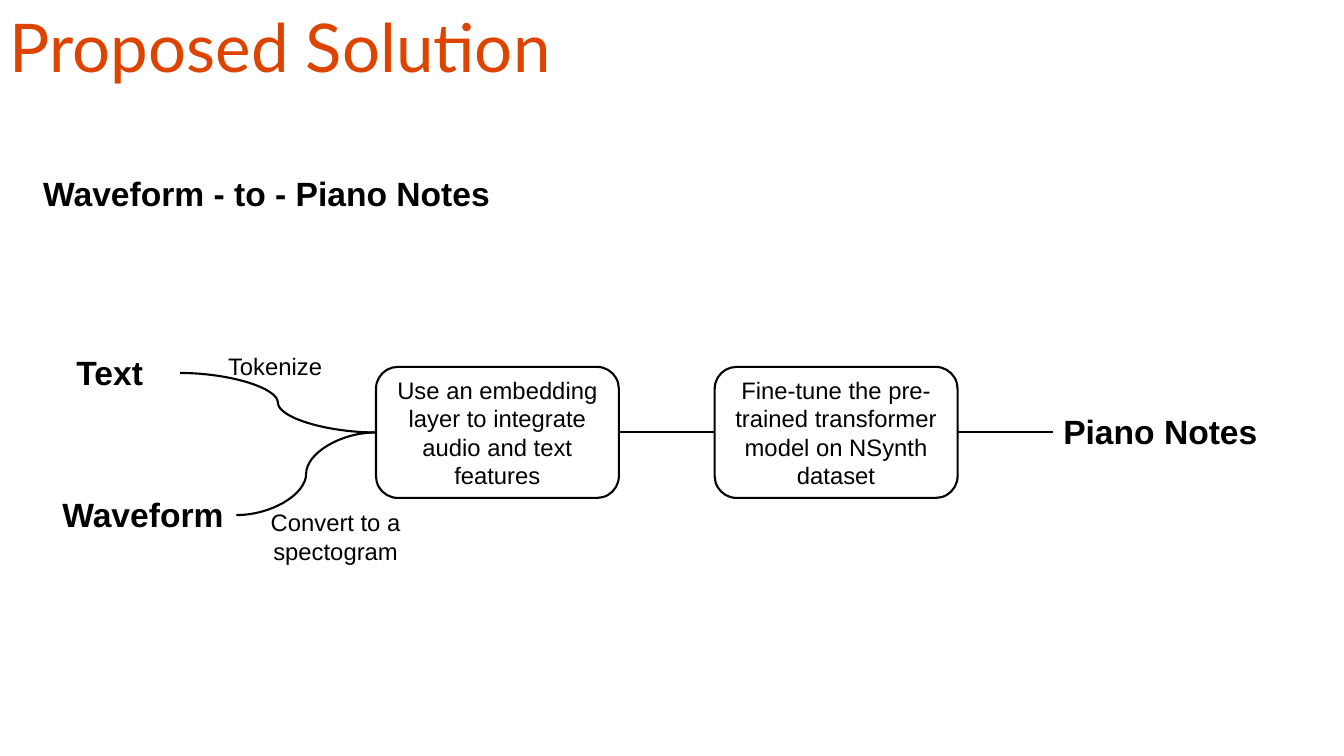
import pptx
import pptx.util
import pptx.dml.color
import pptx.enum.shapes
import pptx.enum.text
import pptx.oxml.ns
import lxml.etree

Pt = pptx.util.Pt
BLACK = "000000"
ORANGE = "DC4400"
LABEL_HEIGHT = 44.64
STEP_TOP, STEP_WIDTH, STEP_HEIGHT = 262.08, 173.52, 93.6
MIDDLE = STEP_TOP + STEP_HEIGHT / 2
LEFT_SIDE, RIGHT_SIDE = 1, 3


def color(value):
    return pptx.dml.color.RGBColor.from_string(value)


def write_text(shape, text, size, font="Arial", bold=False, ink=BLACK,
               centered=False, vertical_inset=7.2):
    frame = shape.text_frame
    frame.word_wrap = True
    frame.margin_left = frame.margin_right = Pt(7.2)
    frame.margin_top = frame.margin_bottom = Pt(vertical_inset)
    para = frame.paragraphs[0]
    para.text = text
    align = pptx.enum.text.PP_ALIGN
    para.alignment = align.CENTER if centered else align.LEFT
    para.font.name = font
    para.font.size = Pt(size)
    para.font.bold = bold
    para.font.color.rgb = color(ink)


def add_label(page, text, left, top, width, height, size=24, **style):
    box = page.shapes.add_textbox(Pt(left), Pt(top), Pt(width), Pt(height))
    write_text(box, text, size, **style)
    return box


def add_step(page, text, left):
    step = page.shapes.add_shape(
        pptx.enum.shapes.MSO_SHAPE.ROUNDED_RECTANGLE,
        Pt(left), Pt(STEP_TOP), Pt(STEP_WIDTH), Pt(STEP_HEIGHT))
    step.shadow.inherit = False
    step.fill.background()
    step.line.color.rgb = color(BLACK)
    step.line.width = Pt(1.5)
    write_text(step, text, 17, centered=True)
    step.text_frame.vertical_anchor = pptx.enum.text.MSO_ANCHOR.MIDDLE
    return step


def join(page, source, target):
    link = page.shapes.add_connector(
        pptx.enum.shapes.MSO_CONNECTOR.CURVE, 0, 0, 0, 0)
    link.begin_connect(source, RIGHT_SIDE)
    link.end_connect(target, LEFT_SIDE)
    link.line.color.rgb = color(BLACK)
    link.line.width = Pt(1.5)
    lxml.etree.SubElement(link._element.spPr, pptx.oxml.ns.qn("a:effectLst"))


def main():
    deck = pptx.Presentation()
    deck.slide_width, deck.slide_height = Pt(960), Pt(540)
    page = deck.slides.add_slide(deck.slide_layouts[6])

    # Headings
    add_label(page, "Proposed Solution", 0, 0, 815.76, 93.6, size=48,
              font="Lato", ink=ORANGE, vertical_inset=3.6)
    add_label(page, "Waveform - to - Piano Notes", 23.76, 116.64, 448.56, 46.8,
              bold=True)

    # Inputs, steps and result
    text_input = add_label(page, "Text", 47.52, 244.08, 81, LABEL_HEIGHT,
                           bold=True)
    wave_input = add_label(page, "Waveform", 37.44, 345.6, 131.4, LABEL_HEIGHT,
                           bold=True)
    embedding = add_step(
        page, "Use an embedding layer to integrate audio and text features",
        268.56)
    tuning = add_step(
        page, "Fine-tune the pre-trained transformer model on NSynth dataset",
        510.48)
    notes = add_label(page, "Piano Notes", 752.4, MIDDLE - LABEL_HEIGHT / 2,
                      159.84, LABEL_HEIGHT, bold=True)

    # Flow
    for source, target in ((text_input, embedding), (wave_input, embedding),
                           (embedding, tuning), (tuning, notes)):
        join(page, source, target)

    # Captions beside the input curves
    for text, left, top in (("Tokenize", 137.52, 244.08),
                            ("Convert to a spectogram", 180.72, 355.68)):
        add_label(page, text, left, top, 118.08, 24.48, size=17, centered=True)

    deck.save("out.pptx")


if __name__ == "__main__":
    main()
